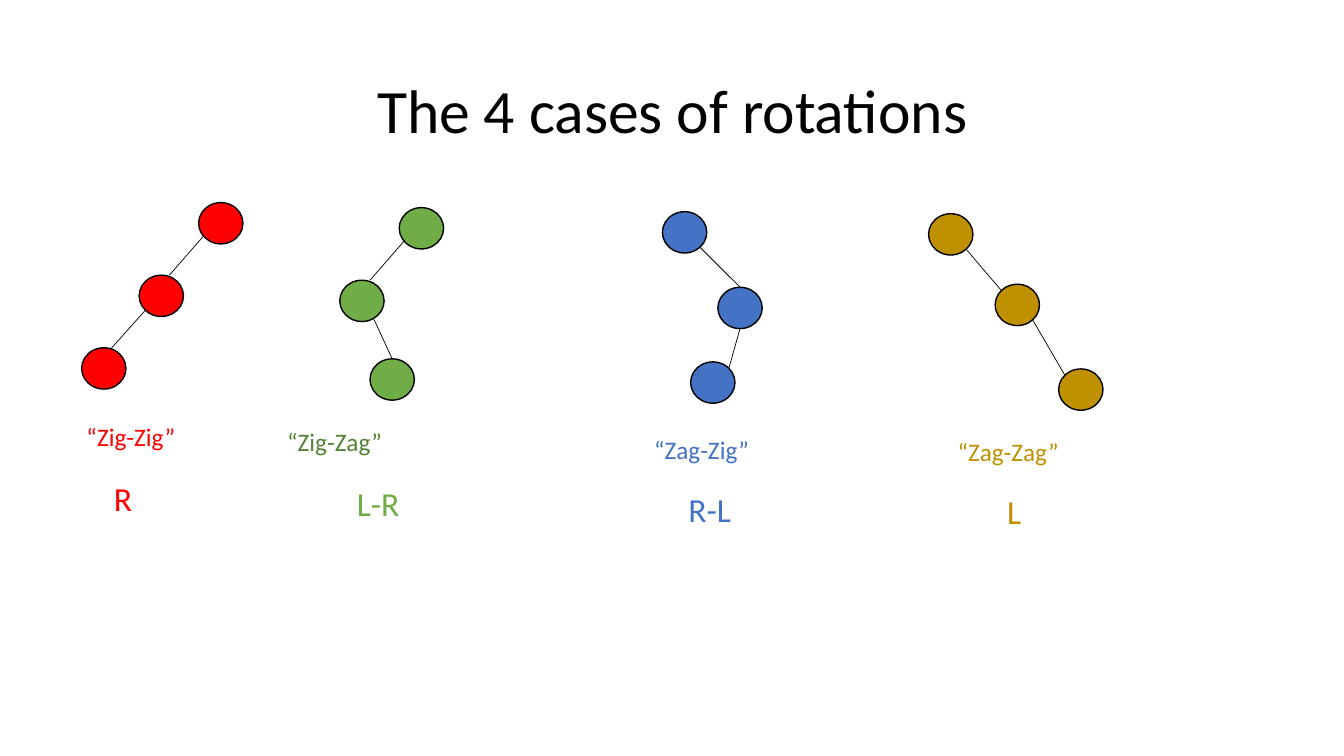
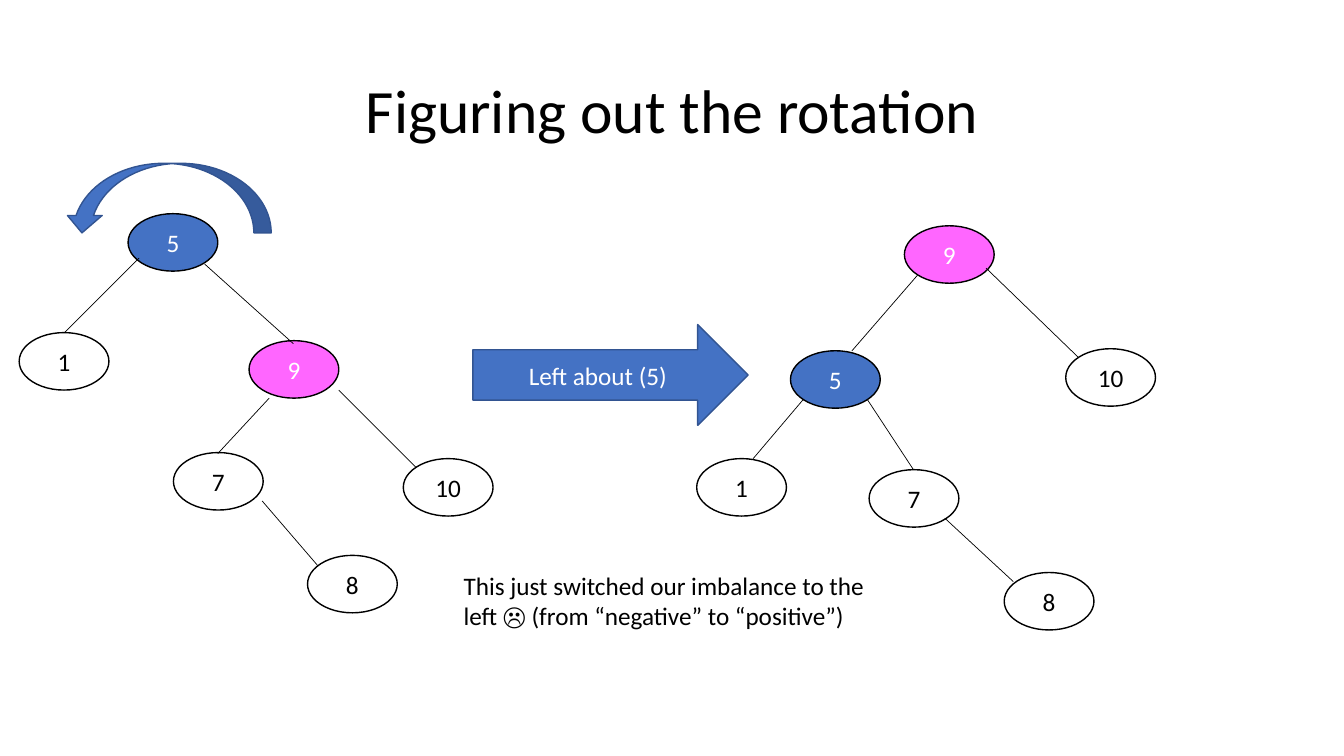
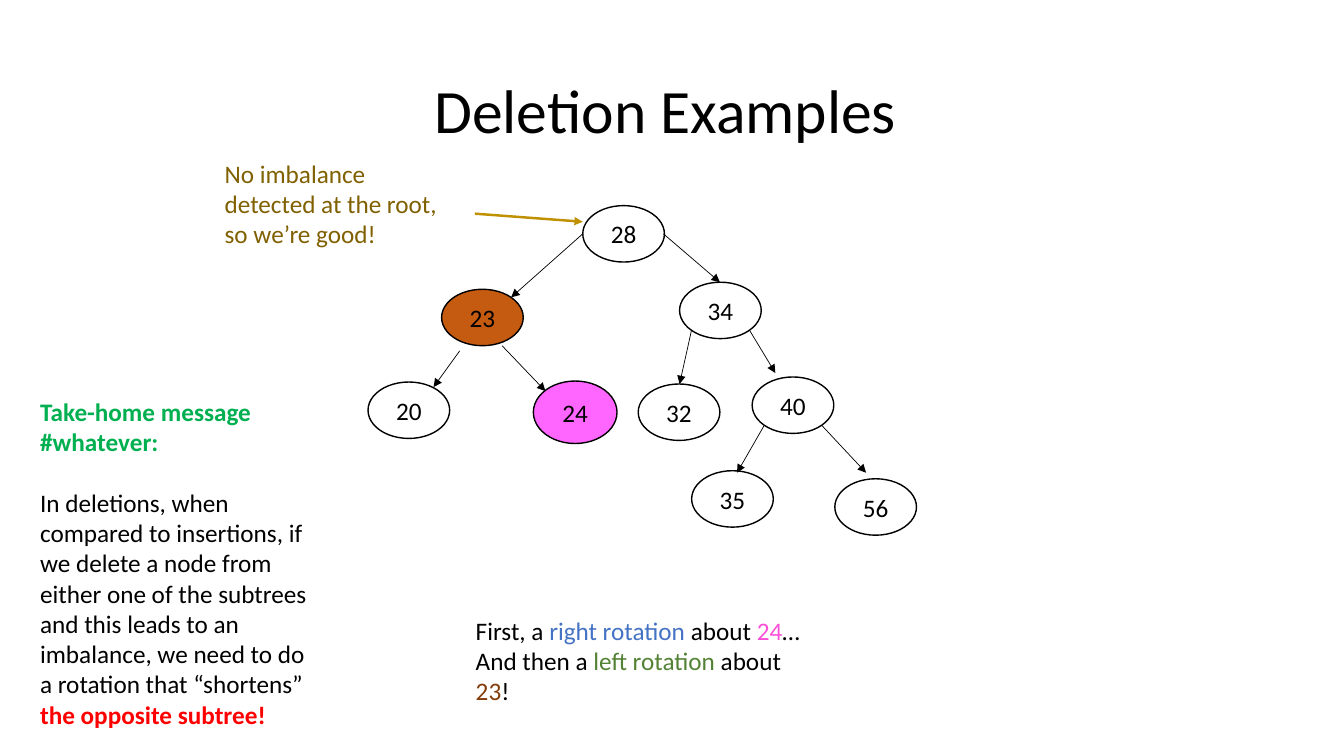
from lxml.etree import SubElement
from pptx import Presentation
from pptx.dml.color import RGBColor
from pptx.enum.shapes import MSO_CONNECTOR, MSO_SHAPE
from pptx.enum.text import MSO_ANCHOR, PP_ALIGN
from pptx.oxml.ns import qn
from pptx.util import Pt

PX = 9144  # EMU in one px: 100 px to the inch
FONT = "Calibri"
BODY = 18

BLACK = RGBColor(0x00, 0x00, 0x00)
WHITE = RGBColor(0xFF, 0xFF, 0xFF)
RED = RGBColor(0xFF, 0x00, 0x00)
GREEN = RGBColor(0x70, 0xAD, 0x47)
DARK_GREEN = RGBColor(0x54, 0x82, 0x35)
BRIGHT_GREEN = RGBColor(0x00, 0xB0, 0x50)
BLUE = RGBColor(0x44, 0x72, 0xC4)
DARK_BLUE = RGBColor(0x32, 0x54, 0x91)
GOLD = RGBColor(0xBF, 0x90, 0x00)
DARK_GOLD = RGBColor(0x80, 0x60, 0x00)
PINK = RGBColor(0xFF, 0x66, 0xFF)
DEEP_PINK = RGBColor(0xFD, 0x4F, 0xD8)
ORANGE = RGBColor(0xC5, 0x5A, 0x11)
BROWN = RGBColor(0x84, 0x3C, 0x0B)


def px(*lengths):
    return [length * PX for length in lengths]


# Shared parts
def add_span(para, text, colour, size=BODY, bold=False):
    span = para.add_run()
    span.text = text
    span.font.name = FONT
    span.font.size = Pt(size)
    span.font.bold = bold
    span.font.color.rgb = colour


def add_text(page, box, paras, size=BODY, gap=0):
    """Each paragraph is a list of (text, colour[, bold]) spans."""
    frame = page.shapes.add_textbox(*px(*box)).text_frame
    frame.word_wrap = True
    for index, spans in enumerate(paras):
        para = frame.add_paragraph() if index else frame.paragraphs[0]
        if index and gap:
            para.space_before = Pt(gap)
        for text, colour, *bold in spans:
            add_span(para, text, colour, size, bool(bold))
    return frame


def add_title(page, text):
    frame = add_text(page, (92, 40, 1150, 145), [[(text, BLACK)]], size=44)
    frame.vertical_anchor = MSO_ANCHOR.MIDDLE
    frame.paragraphs[0].alignment = PP_ALIGN.CENTER
    frame.paragraphs[0].line_spacing = 0.9


def add_figure(page, kind, box, fill=None, line=BLACK, label="", ink=BLACK):
    figure = page.shapes.add_shape(kind, *px(*box))
    figure.shadow.inherit = False
    if fill is None:
        figure.fill.background()
    else:
        figure.fill.solid()
        figure.fill.fore_color.rgb = fill
    figure.line.color.rgb = line
    figure.line.width = Pt(1)
    if label:
        frame = figure.text_frame
        frame.vertical_anchor = MSO_ANCHOR.MIDDLE
        frame.paragraphs[0].alignment = PP_ALIGN.CENTER
        add_span(frame.paragraphs[0], label, ink)
    return figure


def add_edge(page, ends, colour=BLACK, width=0.5, arrow=False):
    edge = page.shapes.add_connector(MSO_CONNECTOR.STRAIGHT, *px(*ends))
    edge.line.color.rgb = colour
    edge.line.width = Pt(width)
    if arrow:
        SubElement(edge.line._get_or_add_ln(), qn("a:tailEnd"), type="triangle")
    SubElement(edge.element.spPr, qn("a:effectLst"))


def add_tree(page, left, top, size, nodes, edges, ink=BLACK, arrow=False):
    """Nodes are (label, x, y[, fill[, size]]); ink is for filled nodes."""
    for label, x, y, *style in nodes:
        fill = style[0] if style else None
        width, height = style[1] if len(style) > 1 else size
        add_figure(page, MSO_SHAPE.OVAL, (left + x, top + y, width, height),
                   fill, label=label, ink=ink if fill else BLACK)
    for x1, y1, x2, y2 in edges:
        add_edge(page, (left + x1, top + y1, left + x2, top + y2), arrow=arrow)


# One rotation case: three nodes, its name and its turns
def add_case(page, left, top, colour, places, edges, name, turn):
    nodes = [("", x, y, colour) for x, y in places]
    add_tree(page, left, top, (44, 41), nodes, edges)
    text, x, y, ink = name
    add_text(page, (left + x, top + y, 124, 40), [[(text, ink)]])
    text, x, y = turn
    add_text(page, (left + x, top + y, 68, 50), [[(text, colour)]], size=24)


def build_cases(page):
    add_title(page, "The 4 cases of rotations")
    add_case(page, 81, 201, RED, [(116, 0), (57, 72), (0, 144)],
             [(121, 33, 87, 72), (63, 107, 29, 145)],
             ("“Zig-Zig”", -5, 212, RED), ("R", 22, 268))
    add_case(page, 337, 206, GREEN, [(59, 0), (0, 72), (30, 150)],
             [(64, 33, 30, 72), (34, 111, 52, 150)],
             ("“Zig-Zag”", -62, 212, DARK_GREEN), ("L-R", 7, 268))
    add_case(page, 657, 210, BLUE, [(0, 0), (55, 75), (28, 149)],
             [(37, 35, 77, 75), (77, 116, 66, 155)],
             ("“Zag-Zig”", -18, 216, BLUE), ("R-L", 16, 270))
    add_case(page, 921, 212, GOLD, [(0, 0), (66, 70), (129, 154)],
             [(37, 35, 72, 76), (103, 105, 135, 160)],
             ("“Zag-Zag”", 19, 216, GOLD), ("L", 68, 270))


def build_rotation(page):
    add_title(page, "Figuring out the rotation")
    node = (89, 57)
    # Tree before the rotation
    add_tree(page, 19, 212, node,
             [("5", 108, 0, BLUE), ("1", 0, 118), ("9", 228, 126, PINK),
              ("7", 153, 237), ("10", 381, 243), ("8", 286, 339)],
             [(119, 44, 45, 118), (184, 50, 272, 129), (248, 183, 197, 238),
              (317, 175, 394, 252), (241, 285, 296, 349)], ink=WHITE)
    # Turn and step arrows
    turn = add_figure(page, MSO_SHAPE.CURVED_DOWN_ARROW, (64, 162, 205, 69),
                      BLUE, DARK_BLUE)
    turn.element.spPr.find(qn("a:xfrm")).set("flipH", "1")
    add_figure(page, MSO_SHAPE.RIGHT_ARROW, (469, 322, 273, 100),
               BLUE, DARK_BLUE, "Left about (5)", WHITE)
    # Tree after the rotation
    add_tree(page, 691, 224, node,
             [("9", 206, 0, PINK), ("5", 93, 124, BLUE), ("10", 366, 122),
              ("1", 0, 231), ("7", 171, 242), ("8", 305, 344)],
             [(219, 49, 154, 124), (287, 42, 379, 131), (106, 172, 56, 231),
              (169, 172, 215, 242), (246, 290, 314, 353)], ink=WHITE)
    add_text(page, (450, 561, 447, 71), [[
        ("This just switched our imbalance to the left ☹ "
         "(from “negative” to “positive”)", BLACK)]])


def build_deletion(page):
    add_title(page, "Deletion Examples ")
    add_tree(page, 365, 204, (81, 56),
             [("28", 213, 0), ("23", 73, 83, ORANGE), ("34", 309, 76),
              ("20", 0, 175), ("24", 164, 174, PINK, (83, 62)),
              ("32", 268, 177), ("40", 381, 170), ("35", 321, 263),
              ("56", 463, 271)],
             [(213, 28, 142, 91), (293, 28, 349, 76), (91, 144, 65, 180),
              (133, 139, 176, 184), (321, 123, 309, 177), (378, 123, 404, 166),
              (393, 218, 366, 265), (450, 218, 494, 265)], arrow=True)
    # Remark on the root
    add_edge(page, (471, 212, 578, 220), GOLD, 1.75, arrow=True)
    add_text(page, (213, 152, 254, 101), [[
        ("No imbalance detected at the root, so we’re good!", DARK_GOLD)]])
    # Rotation steps
    add_text(page, (462, 605, 355, 101), [
        [("First, a ", BLACK), ("right rotation ", BLUE), ("about ", BLACK),
         ("24", DEEP_PINK), ("…", BLACK)],
        [("And then a ", BLACK), ("left rotation ", DARK_GREEN),
         ("about ", BLACK), ("23", BROWN), ("!", BLACK)]])
    # Take-home message
    add_text(page, (30, 388, 286, 343), [
        [("Take-home message #whatever:", BRIGHT_GREEN, True)],
        [("In deletions, when compared to insertions, if we delete a node from "
          "either one of the subtrees and this leads to an imbalance, we need "
          "to do a rotation that “shortens” ", BLACK),
         ("the opposite subtree!", RED, True)]], gap=22)


def main():
    deck = Presentation()
    deck.slide_width, deck.slide_height = px(1333, 750)
    for build in (build_cases, build_rotation, build_deletion):
        build(deck.slides.add_slide(deck.slide_layouts[6]))
    deck.save("out.pptx")


if __name__ == "__main__":
    main()
